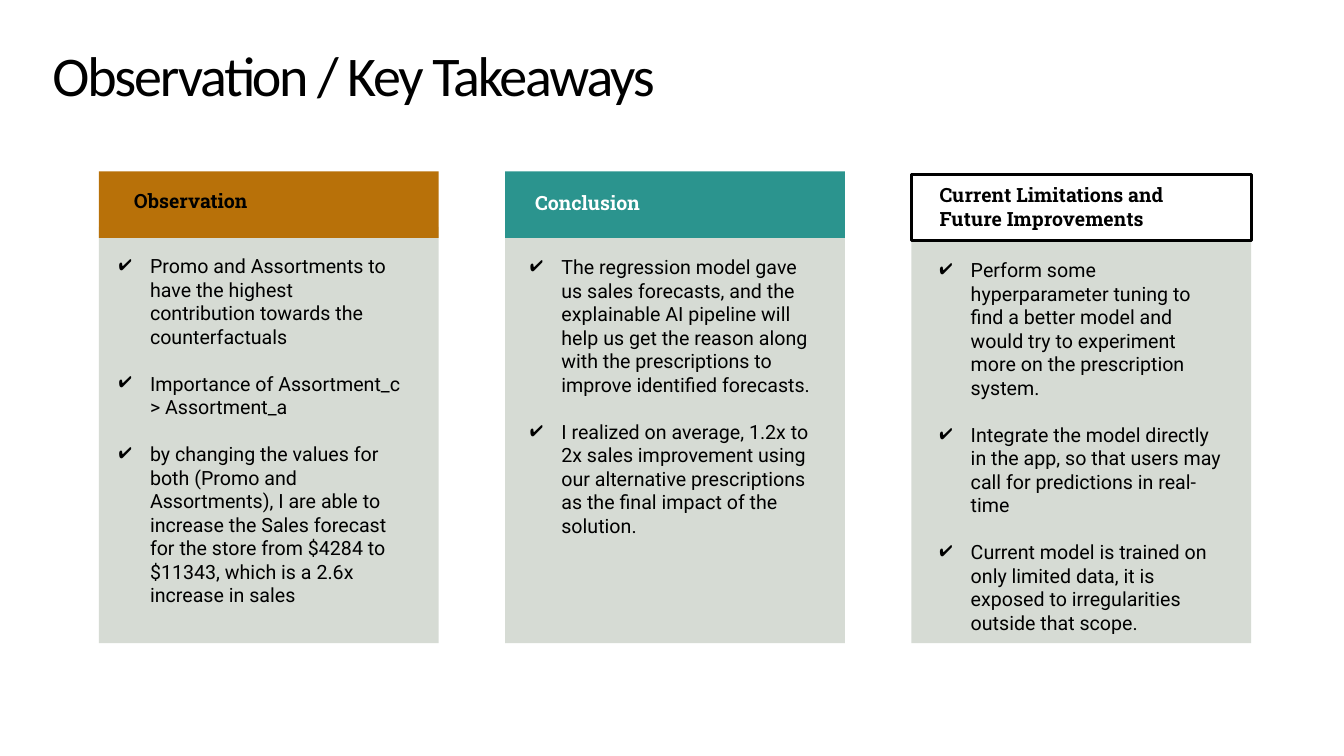
from dataclasses import dataclass

from lxml import etree
from pptx import Presentation
from pptx.dml.color import RGBColor
from pptx.enum import shapes, text
from pptx.oxml.ns import qn
from pptx.util import Inches, Pt


@dataclass(frozen=True)
class Theme:
    black: str = "000000"
    white: str = "FFFFFF"
    panel: str = "D6DBD4"
    amber: str = "B87109"
    teal: str = "2B948E"
    title_font: str = "Calibri"
    heading_font: str = "Roboto Slab"
    body_font: str = "Roboto"
    title_size: float = 40
    text_size: float = 14
    bullet_gap: float = 16.8


theme = Theme()


def write(box, paragraphs, font, size, color=theme.black, bold=False, bullet=None):
    """Fill a text box or placeholder with evenly spaced paragraphs."""
    frame = box.text_frame
    frame.word_wrap = True
    for index, wording in enumerate(paragraphs):
        para = frame.paragraphs[0] if index == 0 else frame.add_paragraph()
        para.alignment = text.PP_ALIGN.LEFT
        if bullet:
            props = para._p.get_or_add_pPr()
            props.set("marL", str(Inches(0.31)))
            props.set("indent", str(Inches(-0.31)))
            bullet_color = etree.SubElement(props, qn("a:buClr"))
            etree.SubElement(bullet_color, qn("a:srgbClr"), val=theme.black)
            etree.SubElement(props, qn("a:buChar"), char=bullet)
        para.space_before = Pt(theme.bullet_gap if index else 0)
        span = para.add_run()
        span.text = wording
        span.font.name = font
        span.font.size = Pt(size)
        span.font.bold = bold
        span.font.color.rgb = RGBColor.from_string(color)


def add_block(page, left, top, width, height, fill, outline=None):
    """Draw a plain rectangle, outlined if a colour is given."""
    block = page.shapes.add_shape(shapes.MSO_SHAPE.RECTANGLE, Inches(left),
                                  Inches(top), Inches(width), Inches(height))
    block.shadow.inherit = False
    block.fill.solid()
    block.fill.fore_color.rgb = RGBColor.from_string(fill)
    if outline:
        block.line.color.rgb = RGBColor.from_string(outline)
        block.line.width = Pt(2)
    else:
        block.line.fill.background()


deck = Presentation()
deck.slide_width, deck.slide_height = Inches(13.33), Inches(7.5)
page = deck.slides.add_slide(deck.slide_layouts[5])

# Title
title = page.shapes.title
title.left, title.top = Inches(0.42), Inches(0.22)
title.width, title.height = Inches(12.5), Inches(1.11)
title.text_frame.vertical_anchor = text.MSO_ANCHOR.MIDDLE
write(title, ["Observation / Key Takeaways"], theme.title_font, theme.title_size)
title_para = title.text_frame.paragraphs[0]
title_para.line_spacing = 0.9
title_para.runs[0].font._element.set("spc", "-150")

# Column content: heading, its colours and places, then the bullets
columns = [
    dict(heading="Observation", fill=theme.amber, color=theme.black, outline=None,
         header_top=1.7, heading_at=(1.23, 1.83, 0.34), body_at=(1.08, 2.47, 3.64),
         bullets=[
             "Promo and Assortments to have the highest contribution towards the "
             "counterfactuals",
             "Importance of Assortment_c > Assortment_a",
             "by changing the values for both (Promo and Assortments), I are able to "
             "increase the Sales forecast for the store from $4284 to $11343, which "
             "is a 2.6x increase in sales"]),
    dict(heading="Conclusion", fill=theme.teal, color=theme.white, outline=None,
         header_top=1.7, heading_at=(5.21, 1.84, 0.34), body_at=(5.16, 2.48, 2.93),
         bullets=[
             "The regression model gave us sales forecasts, and the explainable AI "
             "pipeline will help us get the reason along with the prescriptions to "
             "improve identified forecasts.",
             "I realized on average, 1.2x to 2x sales improvement using our "
             "alternative prescriptions as the final impact of the solution."]),
    dict(heading="Current Limitations and Future Improvements", fill=theme.white,
         color=theme.black, outline=theme.black,
         header_top=1.73, heading_at=(9.22, 1.77, 0.57), body_at=(9.22, 2.51, 3.87),
         bullets=[
             "Perform some hyperparameter tuning to find a better model and would "
             "try to experiment more on the prescription system.",
             "Integrate the model directly in the app, so that users may call for "
             "predictions in real-time",
             "Current model is trained on only limited data, it is exposed to "
             "irregularities outside that scope."]),
]

# Columns: panel, header band, heading and bullet list
first_left, column_step, column_width = 0.98, 4.03, 3.37
for number, column in enumerate(columns):
    left = first_left + number * column_step
    add_block(page, left, 2.25, column_width, 4.13, theme.panel)
    add_block(page, left, column["header_top"], column_width, 0.66,
              column["fill"], column["outline"])

    x, y, height = column["heading_at"]
    heading = page.shapes.add_textbox(Inches(x), Inches(y), Inches(2.71), Inches(height))
    write(heading, [column["heading"]], theme.heading_font, theme.text_size,
          color=column["color"], bold=True)

    x, y, height = column["body_at"]
    body = page.shapes.add_textbox(Inches(x), Inches(y), Inches(3), Inches(height))
    write(body, column["bullets"], theme.body_font, theme.text_size, bullet="✔")

deck.save("out.pptx")
